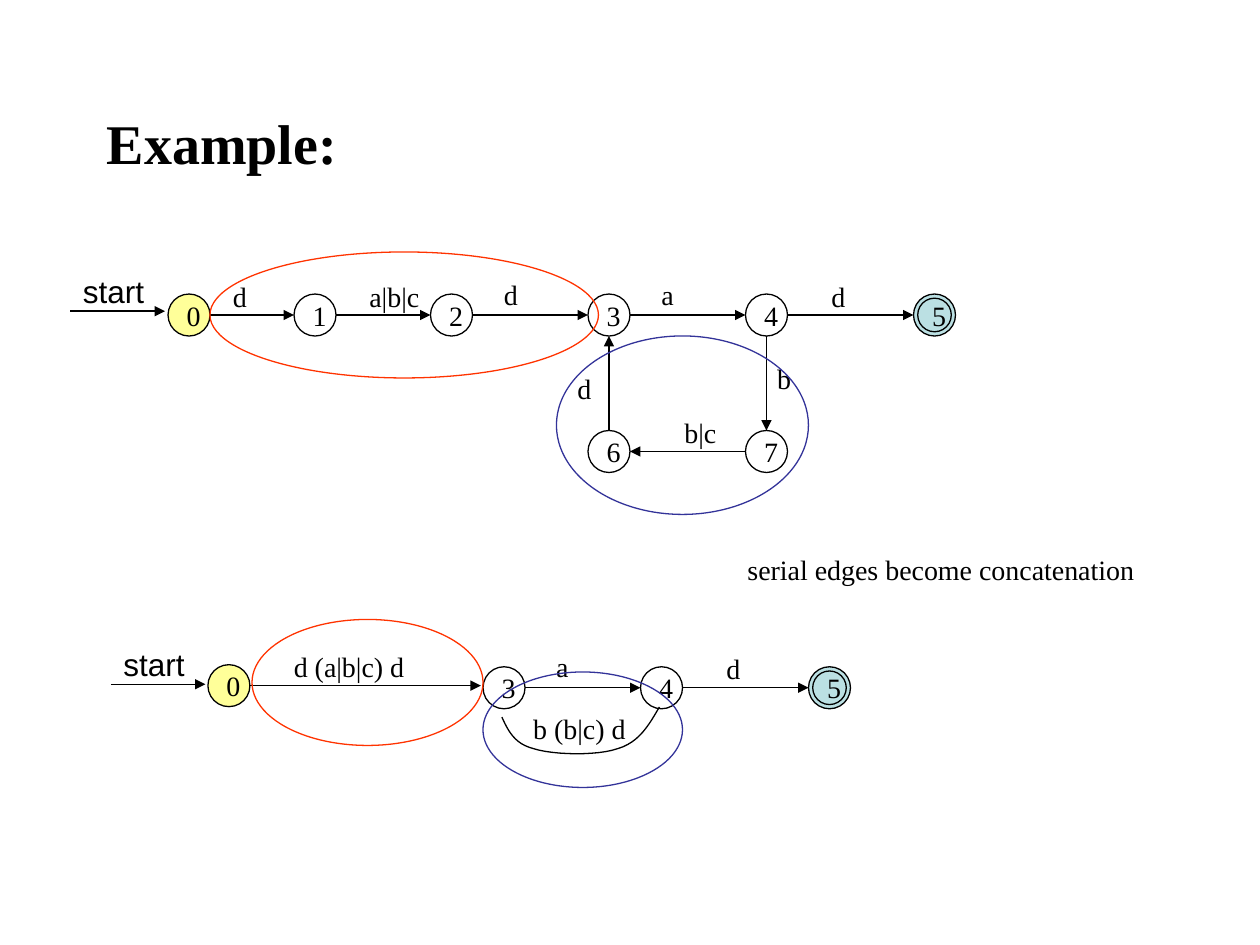
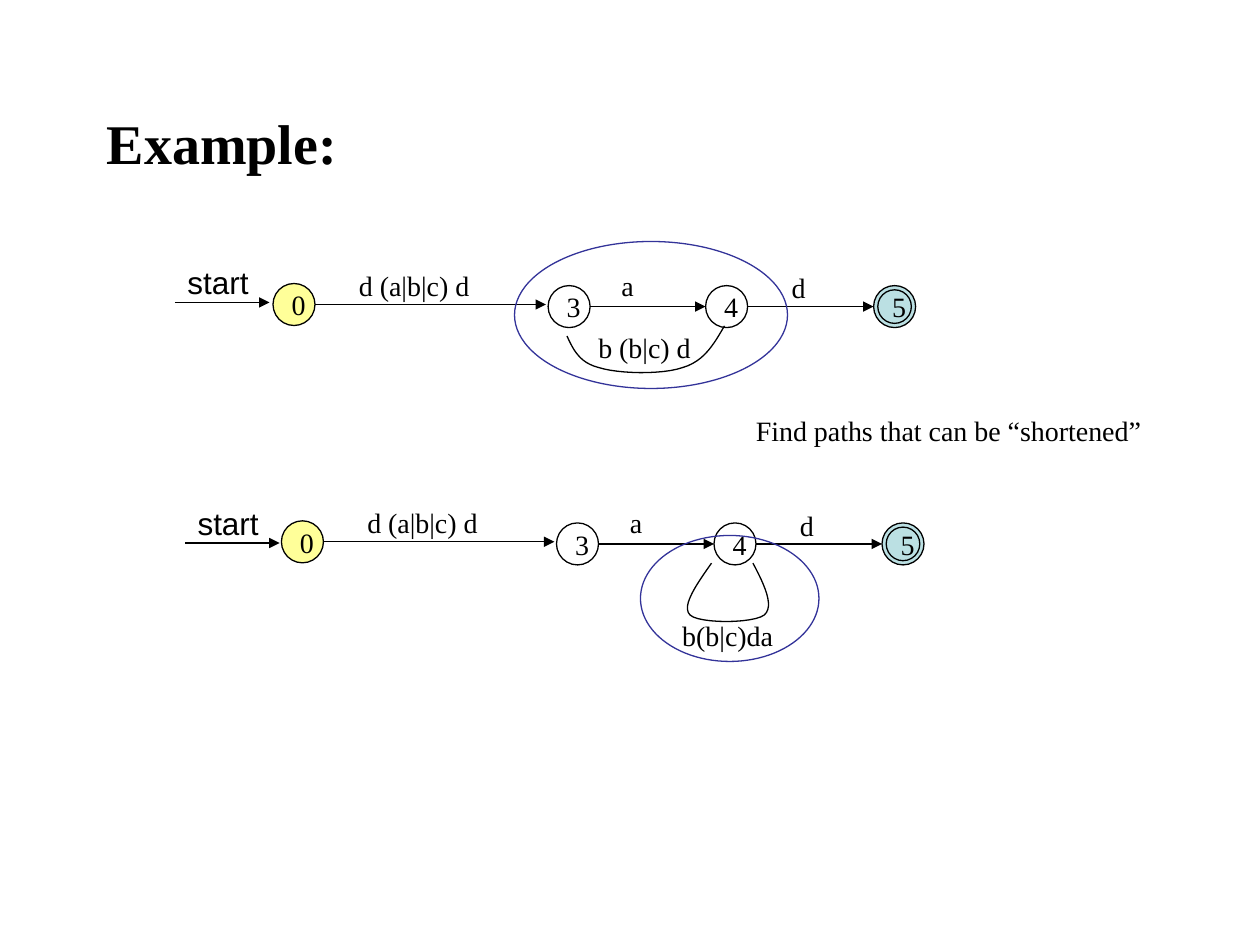
from itertools import pairwise

from lxml.etree import SubElement
from pptx import Presentation
from pptx.dml.color import RGBColor
from pptx.enum.shapes import MSO_CONNECTOR as Connector, MSO_SHAPE as Shape
from pptx.enum.text import MSO_ANCHOR as Anchor, PP_ALIGN as Align
from pptx.oxml.ns import qn
from pptx.util import Pt

COLORS = {
    "ink": "000000",
    "start": "FFFF99",
    "final": "BBE0E3",
    "serial": "FF3300",
    "loop": "333399",
}
SERIF = "Times New Roman"
SANS = "Arial"
NODE = 24
RADIUS = NODE / 2
RING_INSET = 2.4
LINE_WIDTH = 0.75
CURVE_STEPS = 12
ARC_BACK = [
    (100.8, 23), (95, 33), (89.3, 43.2), (77, 46.8), (64.8, 51), (40.3, 50.4),
    (28.8, 46.8), (18, 44), (14.4, 36.7), (10.8, 28.8),
]
SELF_LOOP = [
    (22.3, 23), (28.8, 35.3), (34.6, 47.5), (28.8, 52.6), (22.3, 57.6), (-8.6, 57.6),
    (-13.7, 52.6), (-18.7, 47.5), (-10, 35.3), (-1.4, 23),
]


def color(name):
    """Return the named colour."""
    return RGBColor.from_string(COLORS[name])


def write(shape, text, size=16, font=SERIF, bold=False, align=Align.LEFT, anchor=Anchor.TOP):
    """Put one formatted paragraph into a shape."""
    frame = shape.text_frame
    frame.vertical_anchor = anchor
    paragraph = frame.paragraphs[0]
    paragraph.alignment = align
    run = paragraph.add_run()
    run.text = text
    run.font.size = Pt(size)
    run.font.name = font
    run.font.bold = bold
    run.font.color.rgb = color("ink")


def add_label(slide, text, x, y, width, height=26.6, wrap=False, **style):
    """Add a text box."""
    shape = slide.shapes.add_textbox(Pt(x), Pt(y), Pt(width), Pt(height))
    shape.text_frame.word_wrap = wrap
    write(shape, text, **style)


def add_oval(slide, x, y, width, height, line="ink", fill=None):
    """Add an outlined ellipse, filled on request."""
    shape = slide.shapes.add_shape(Shape.OVAL, Pt(x), Pt(y), Pt(width), Pt(height))
    shape.shadow.inherit = False
    outline(shape, line)
    if fill:
        shape.fill.solid()
        shape.fill.fore_color.rgb = color(fill)
    else:
        shape.fill.background()
    return shape


def outline(shape, line="ink"):
    """Give a shape or connector the common thin line."""
    shape.line.color.rgb = color(line)
    shape.line.width = Pt(LINE_WIDTH)


def add_state(slide, name, x, y):
    """Add a numbered state; 0 is the start and 5 is final."""
    fill = {"0": "start", "5": "final"}.get(name)
    shape = add_oval(slide, x, y, NODE, NODE, fill=fill)
    write(shape, name, align=Align.CENTER, anchor=Anchor.MIDDLE)
    if fill == "final":
        ring = NODE - 2 * RING_INSET
        add_oval(slide, x + RING_INSET, y + RING_INSET, ring, ring)


def add_arrow(slide, start, end):
    """Add a straight arrow between two points."""
    points = [Pt(value) for value in (*start, *end)]
    connector = slide.shapes.add_connector(Connector.STRAIGHT, *points)
    outline(connector)
    SubElement(connector.line._get_or_add_ln(), qn("a:tailEnd"), type="triangle")
    SubElement(connector._element.spPr, qn("a:effectLst"))


def connect(slide, source, target):
    """Join two aligned states, given by their corners, with an arrow."""
    (x1, y1), (x2, y2) = source, target
    dx = RADIUS * ((x2 > x1) - (x2 < x1))
    dy = RADIUS * ((y2 > y1) - (y2 < y1))
    add_arrow(
        slide,
        (x1 + RADIUS + dx, y1 + RADIUS + dy),
        (x2 + RADIUS - dx, y2 + RADIUS - dy),
    )


def add_curve(slide, x, y, controls):
    """Draw a chain of cubic curves relative to a state corner."""
    points = []
    for first in range(0, len(controls) - 1, 3):
        for step in range(CURVE_STEPS + 1):
            t = step / CURVE_STEPS
            weights = ((1 - t) ** 3, 3 * t * (1 - t) ** 2, 3 * t * t * (1 - t), t ** 3)
            segment = controls[first:first + 4]
            px, py = (sum(w * p[axis] for w, p in zip(weights, segment)) for axis in (0, 1))
            points.append((Pt(x + px), Pt(y + py)))
    builder = slide.shapes.build_freeform(*points[0])
    builder.add_line_segments(points[1:], close=False)
    shape = builder.convert_to_shape()
    shape.shadow.inherit = False
    shape.fill.background()
    outline(shape)


def add_start(slide, x, y):
    """Add the entry arrow and its caption."""
    add_arrow(slide, (x, y), (x + 54, y))
    add_label(slide, "start", x, y - 26, 49.7, 28.8, size=18, font=SANS)


def add_full_automaton(slide, x, y):
    """Draw all eight states, from the corner of state 0."""
    offsets = {
        "0": (0, 0), "1": (72, 0), "2": (150, 0), "3": (240, 0),
        "4": (330, 0), "5": (426, 0), "6": (240, 78), "7": (330, 78),
    }
    corners = {name: (x + dx, y + dy) for name, (dx, dy) in offsets.items()}
    for name, corner in corners.items():
        add_state(slide, name, *corner)
    for route in ("012345", "4763"):
        for source, target in pairwise(route):
            connect(slide, corners[source], corners[target])
    edge_labels = [
        ("d", 30, -12, 22.3), ("a|b|c", 108, -12, 43.2), ("d", 184.8, -13.2, 22.3),
        ("a", 274.8, -13.2, 21.6), ("d", 372, -12, 22.3), ("d", 226.8, 40.8, 22.3),
        ("b", 341, 35, 22.3), ("b|c", 288, 66, 33),
    ]
    for text, dx, dy, width in edge_labels:
        add_label(slide, text, x + dx, y + dy, width)
    add_start(slide, x - 55.7, y + 9.8)


def add_short_automaton(slide, x, y, start, self_loop=False):
    """Draw the four-state automaton, from the corner of state 3."""
    corners = [(x, y), (x + 90, y), (x + 186, y)]
    for name, corner in zip("345", corners):
        add_state(slide, name, *corner)
    for source, target in pairwise(corners):
        connect(slide, source, target)
    add_state(slide, "0", x - 157.2, y - 1.2)
    add_arrow(slide, (x - 133.2, y + 10.8), (x - 1.2, y + 10.8))
    add_label(slide, "d (a|b|c) d", x - 115.2, y - 13.2, 77.8)
    add_label(slide, "a", x + 34.8, y - 13.2, 21.6)
    add_label(slide, "d", x + 132, y - 12, 22.3)
    if self_loop:
        add_curve(slide, x + 90, y, SELF_LOOP)
        add_label(slide, "b(b|c)da", x + 64.8, y + 51, 67)
    else:
        add_curve(slide, x, y, ARC_BACK)
        add_label(slide, "b (b|c) d", x + 21.6, y + 22.3, 67.7)
    add_start(slide, *start)


def add_example_slide(presentation):
    """Add a blank slide with the shared title."""
    slide = presentation.slides.add_slide(presentation.slide_layouts[6])
    add_label(slide, "Example:", 54, 36, 612, 90, wrap=True,
              size=32, bold=True, anchor=Anchor.MIDDLE)
    return slide


def build_serial_slide(presentation):
    """Show serial edges merged into concatenations."""
    slide = add_example_slide(presentation)
    add_full_automaton(slide, 96, 168)
    add_short_automaton(slide, 276, 381, start=(63.4, 391))
    add_oval(slide, 120, 144, 222, 72, line="serial")
    add_oval(slide, 318, 192, 144, 102, line="loop")
    add_oval(slide, 144, 354, 132, 72, line="serial")
    add_oval(slide, 276, 384, 114, 66, line="loop")
    add_label(slide, "serial edges become concatenation", 420, 312, 236.9)


def build_shortening_slide(presentation):
    """Show the backward path shortened to a self loop."""
    slide = add_example_slide(presentation)
    add_short_automaton(slide, 313.2, 163.2, start=(100, 172.8))
    add_short_automaton(slide, 318, 298.8, start=(105.8, 310.3), self_loop=True)
    add_oval(slide, 294, 138, 156, 84, line="loop")
    add_oval(slide, 366, 306, 102, 72, line="loop")
    add_label(slide, "Find paths that can be “shortened”", 424.8, 232.6, 236.2)


def main():
    """Build and save the presentation."""
    presentation = Presentation()
    presentation.slide_width = Pt(720)
    presentation.slide_height = Pt(540)
    build_serial_slide(presentation)
    build_shortening_slide(presentation)
    presentation.save("out.pptx")


if __name__ == "__main__":
    main()
